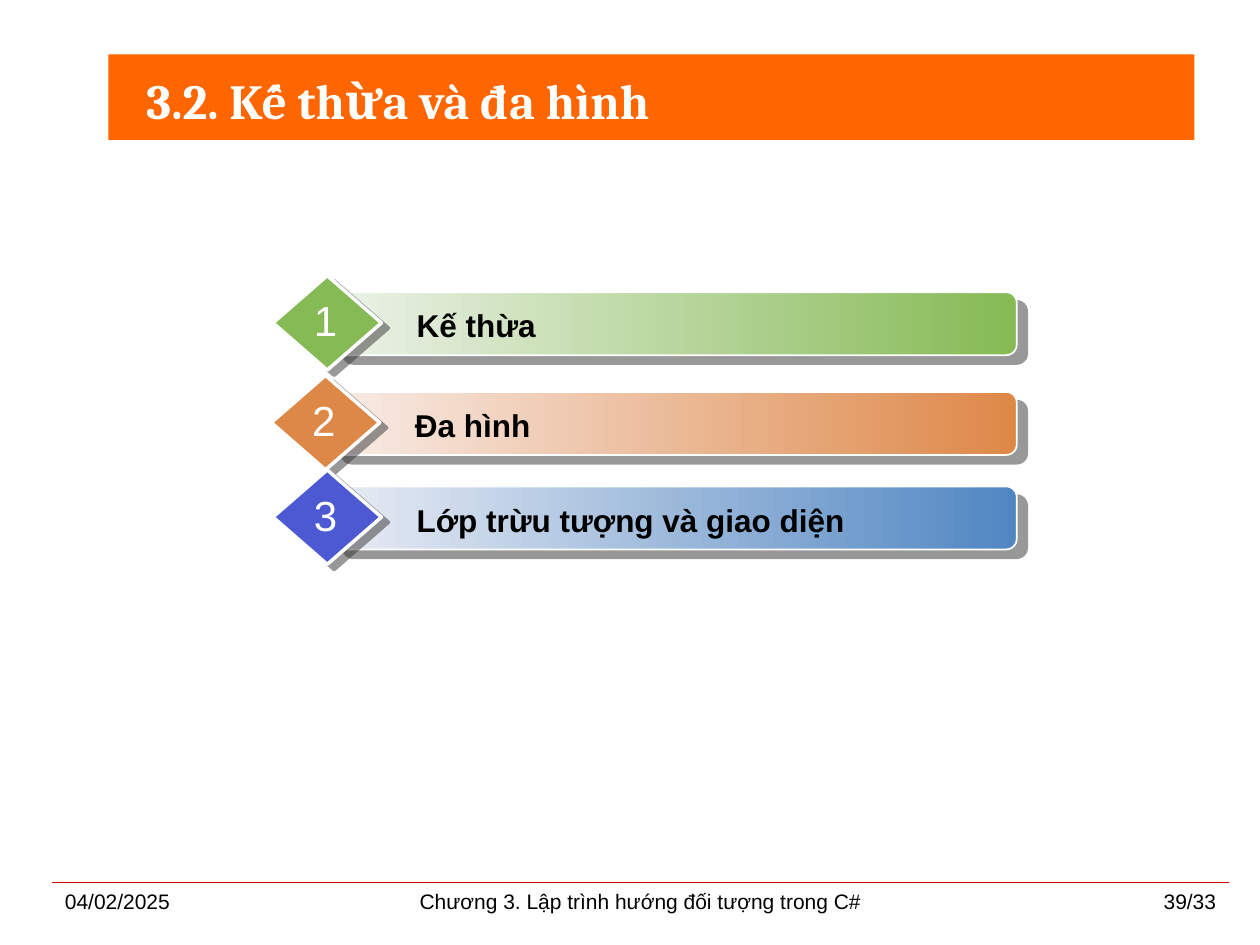
from lxml import etree
from pptx import Presentation
from pptx.dml.color import RGBColor
from pptx.enum.shapes import MSO_CONNECTOR, MSO_SHAPE
from pptx.enum.text import MSO_ANCHOR, PP_ALIGN
from pptx.oxml.ns import qn
from pptx.util import Pt

LEFT, CENTER, RIGHT = PP_ALIGN.LEFT, PP_ALIGN.CENTER, PP_ALIGN.RIGHT
BLACK, WHITE, ORANGE, RED = "000000", "FFFFFF", "FF6600", "CC0000"

TITLE = "3.2. Kế thừa và đa hình"
TOPICS = [
    # label, bar start, bar end, diamond, left, top
    ("Kế thừa", "ECF2E8", "85BA54", "85BA54", 156, 157.5),
    ("Đa hình", "F8ECE7", "DE8848", "DE8848", 155, 214.5),
    ("Lớp trừu tượng và giao diện", "E8ECF4", "5086C2", "4C59D2", 156, 268.5),
]
FOOTER = [
    ("04/02/2025", 30, 156, LEFT),
    ("Chương 3. Lập trình hướng đối tượng trong C#", 210, 312, CENTER),
    ("39/33", 546, 156, RIGHT),
]
BAR_RIGHT = 581
FOOTER_TOP = 504


def color(hex_code):
    """Return the colour for a hex string."""
    return RGBColor.from_string(hex_code)


def box(left, top, width, height):
    """Return a position and size given in points."""
    return Pt(left), Pt(top), Pt(width), Pt(height)


def write(frame, text, size, hex_code, align=LEFT, bold=False, font="Arial"):
    """Put one formatted paragraph into a text frame."""
    frame.text = text
    paragraph = frame.paragraphs[0]
    paragraph.alignment = align
    paragraph.font.name = font
    paragraph.font.size = Pt(size)
    paragraph.font.bold = bold
    paragraph.font.color.rgb = color(hex_code)


def add_text(slide, place, text, size, hex_code, align=LEFT, bold=False, wrap=True):
    """Add a text box with one paragraph."""
    frame = slide.shapes.add_textbox(*place).text_frame
    frame.word_wrap = wrap
    write(frame, text, size, hex_code, align, bold)


def outline_and_shadow(shape, line_width, distance, angle):
    """Give a shape a white outline and a hard half-transparent shadow."""
    shape.line.color.rgb = color(WHITE)
    shape.line.width = Pt(line_width)
    shape.shadow.inherit = False
    effects = shape._element.spPr.find(qn("a:effectLst"))
    shadow = etree.SubElement(
        effects, qn("a:outerShdw"), blurRad="0", dist=str(Pt(distance)),
        dir=str(angle * 60000), algn="ctr", rotWithShape="0")
    tint = etree.SubElement(shadow, qn("a:srgbClr"), val="333333")
    etree.SubElement(tint, qn("a:alpha"), val="50000")


def add_topic(slide, number, label, start, end, diamond_fill, left, top):
    """Add a gradient bar with its label and numbered diamond."""
    bar_left, label_left = left + 34, left + 75
    bar = slide.shapes.add_shape(
        MSO_SHAPE.ROUNDED_RECTANGLE, *box(bar_left, top + 9.5, BAR_RIGHT - bar_left, 36))
    bar.fill.gradient()
    bar.fill.gradient_angle = 0
    for stop, position, hex_code in zip(bar.fill.gradient_stops, (0, 1), (start, end)):
        stop.position = position
        stop.color.rgb = color(hex_code)
    outline_and_shadow(bar, 1, 7.8, 40)

    diamond = slide.shapes.add_shape(MSO_SHAPE.DIAMOND, *box(left, top, 62, 54))
    diamond.fill.solid()
    diamond.fill.fore_color.rgb = color(diamond_fill)
    outline_and_shadow(diamond, 2, 5, 37)

    add_text(slide, box(label_left, top + 14, BAR_RIGHT - label_left, 29),
             label, 18, BLACK, bold=True)
    add_text(slide, box(left + 14, top + 7.5, 32, 36),
             str(number), 24, WHITE, CENTER, wrap=False)


def add_header(slide):
    """Add the banner and set the title on top of it."""
    banner = slide.shapes.add_shape(MSO_SHAPE.RECTANGLE, *box(62, 31, 620.5, 49))
    banner.fill.solid()
    banner.fill.fore_color.rgb = color(ORANGE)
    banner.line.fill.background()
    banner.shadow.inherit = False

    title = slide.shapes.title
    title.left, title.top, title.width, title.height = box(76.5, 30, 590, 54)
    title.text_frame.vertical_anchor = MSO_ANCHOR.MIDDLE
    write(title.text_frame, TITLE, 28, WHITE, bold=True, font="Cambria")
    banner._element.addnext(title._element)


def add_footer(slide):
    """Add the rule and the three footer texts."""
    rule = slide.shapes.add_connector(
        MSO_CONNECTOR.STRAIGHT, Pt(30), Pt(FOOTER_TOP), Pt(702), Pt(FOOTER_TOP))
    rule.line.color.rgb = color(RED)
    rule.line.width = Pt(0.25)
    etree.SubElement(rule._element.spPr, qn("a:effectLst"))
    for text, left, width, align in FOOTER:
        add_text(slide, box(left, FOOTER_TOP, width, 25), text, 12, BLACK, align)


def main():
    """Build and save the slide."""
    deck = Presentation()
    deck.slide_width, deck.slide_height = Pt(720), Pt(540)
    slide = deck.slides.add_slide(deck.slide_layouts[5])
    slide.background.fill.solid()
    slide.background.fill.fore_color.rgb = color(WHITE)
    add_header(slide)
    add_footer(slide)
    for number, topic in enumerate(TOPICS, 1):
        add_topic(slide, number, *topic)
    deck.save("out.pptx")


if __name__ == "__main__":
    main()
